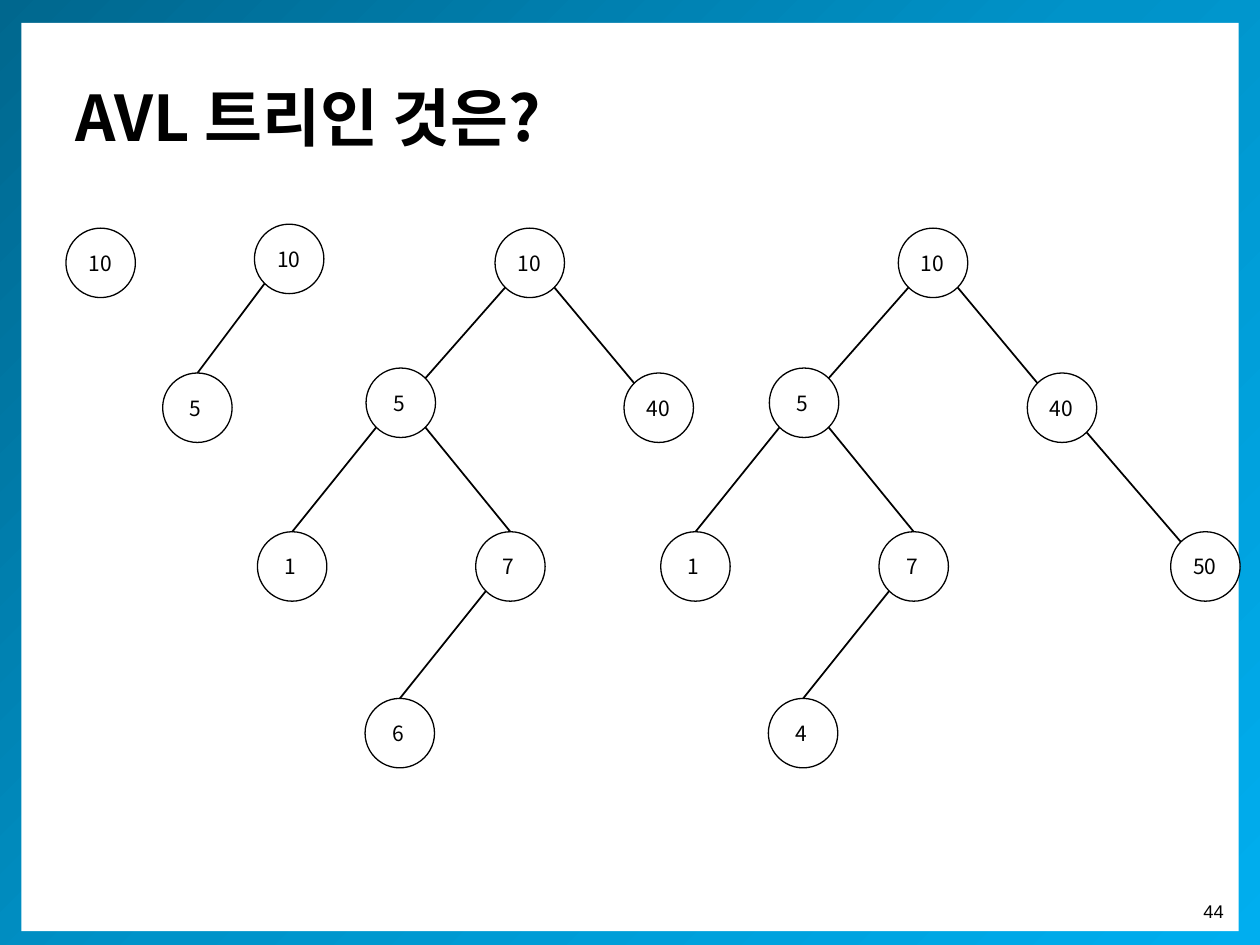
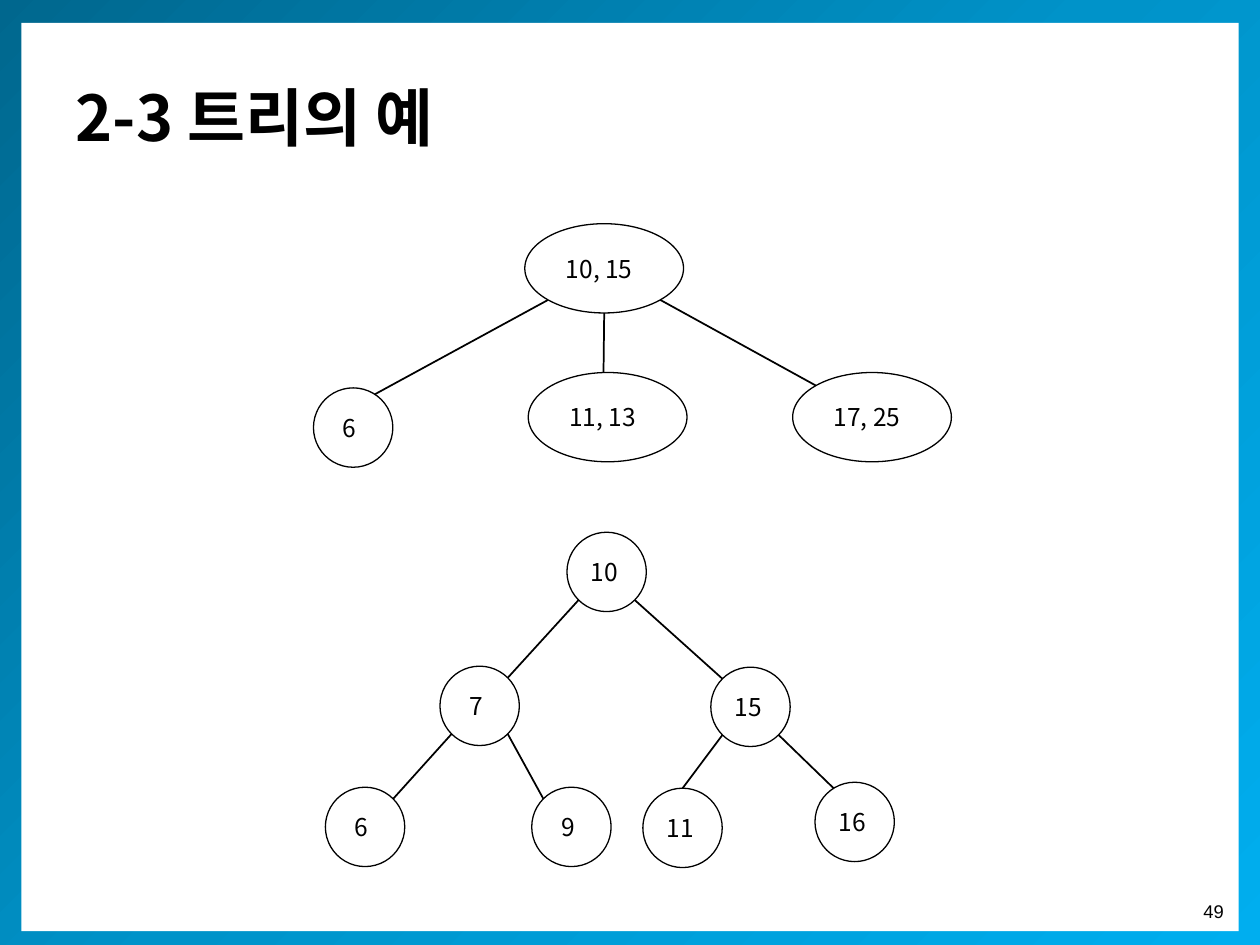
from copy import deepcopy
from math import cos, radians, sin

from lxml.etree import SubElement
from pptx import Presentation
from pptx.dml.color import RGBColor
from pptx.enum.shapes import MSO_CONNECTOR, MSO_SHAPE
from pptx.enum.text import MSO_ANCHOR, PP_ALIGN
from pptx.oxml.ns import qn
from pptx.util import Cm, Pt

BLACK, WHITE = "000000", "FFFFFF"
BAND_STOPS = ((0, "00678E"), (0.5, "0093C9"), (1, "00AEEF"))
BODY_FONT, NUMBER_FONT = "Noto Sans CJK KR", "Arial"
TITLE_ONLY = 5

TOP, TOP_LEFT, TOP_RIGHT = 90, 135, 45
BOTTOM, BOTTOM_LEFT, BOTTOM_RIGHT = 270, 225, 315


def rgb(value):
    return RGBColor.from_string(value)


def write(box, text, size, font=BODY_FONT, bold=False, align=PP_ALIGN.LEFT,
          anchor=MSO_ANCHOR.MIDDLE, indent=0):
    frame = box.text_frame
    frame.word_wrap = True
    frame.vertical_anchor = anchor
    para = frame.paragraphs[0]
    para.alignment = align
    if indent:
        para._p.get_or_add_pPr().set("marL", str(Pt(indent)))
    span = para.add_run()
    span.text = text
    span.font.name = font
    span.font.size = Pt(size)
    span.font.bold = bold
    span.font.color.rgb = rgb(BLACK)
    SubElement(span._r.get_or_add_rPr(), qn("a:ea"), typeface=font)


class TreeDeck:
    """Holds the deck style and draws elements on the current page."""

    def __init__(self):
        self.deck = Presentation()
        self.deck.slide_width, self.deck.slide_height = Cm(25.4), Cm(19.05)
        self.page = None

    def add_page(self, title, number):
        self.page = self.deck.slides.add_slide(self.deck.slide_layouts[TITLE_ONLY])
        self.band()
        self.shape(MSO_SHAPE.RECTANGLE, 0.43, 0.46, 24.54, 18.31)
        box = self.page.shapes.add_textbox(Cm(23.93), Cm(18.03), Cm(0.99), Cm(0.71))
        write(box, str(number), 10.5, font=NUMBER_FONT, align=PP_ALIGN.RIGHT,
              anchor=MSO_ANCHOR.TOP)
        self.title(title)

    def title(self, text):
        box = self.page.shapes.title
        box.left, box.top, box.width, box.height = Cm(1.27), Cm(0.76), Cm(22.86), Cm(3.18)
        self.page.shapes._spTree.append(box._element)
        write(box, text, 36, bold=True)

    def shape(self, kind, left, top, width, height):
        shape = self.page.shapes.add_shape(kind, Cm(left), Cm(top), Cm(width), Cm(height))
        shape.shadow.inherit = False
        shape.fill.solid()
        shape.fill.fore_color.rgb = rgb(WHITE)
        shape.line.fill.background()
        return shape

    def band(self):
        fill = self.shape(MSO_SHAPE.RECTANGLE, 0, -0.1, 25.4, 19.28).fill
        fill.gradient()
        fill.gradient_angle = 315
        first = fill.gradient_stops[0]._gs
        first.addnext(deepcopy(first))
        for stop, (position, color) in zip(fill.gradient_stops, BAND_STOPS):
            stop.position = position
            stop.color.rgb = rgb(color)

    def node(self, label, center, width, height, font_size):
        x, y = center
        oval = self.shape(MSO_SHAPE.OVAL, x - width / 2, y - height / 2, width, height)
        oval.line.color.rgb = rgb(BLACK)
        oval.line.width = Pt(0.75)
        oval.text_frame.margin_right = 0
        two_digits = len(label) == 2
        write(oval, label, font_size, indent=0 if two_digits else 0.22 * font_size)

    def edge(self, start, end):
        line = self.page.shapes.add_connector(
            MSO_CONNECTOR.STRAIGHT, *(Cm(value) for value in (*start, *end)))
        line.line.color.rgb = rgb(BLACK)
        line.line.width = Pt(1)
        SubElement(line._element.spPr, qn("a:effectLst"))

    def tree(self, centers, edges=(), diameter=1.4, font_size=12, shift=0):
        """Draws labelled nodes and joins their rims at the given angles."""
        sizes = {label: (3.2, 1.8) if "," in label else (diameter, diameter)
                 for label in centers}
        for label, (x, y) in centers.items():
            self.node(label, (x + shift, y), *sizes[label], font_size)

        def rim(label, angle):
            (x, y), (width, height) = centers[label], sizes[label]
            return (x + shift + width / 2 * cos(radians(angle)),
                    y - height / 2 * sin(radians(angle)))

        for parent, child, leave, arrive in edges:
            self.edge(rim(parent, leave), rim(child, arrive))


def add_avl_page(deck):
    deck.add_page("AVL 트리인 것은?", 44)
    deck.tree({"10": (2.03, 5.3)})
    deck.tree({"10": (5.83, 5.22), "5": (3.98, 8.22)},
              [("10", "5", BOTTOM_LEFT, TOP)])

    centers = {"10": (10.68, 5.3), "5": (8.08, 8.12), "40": (13.28, 8.22),
               "1": (5.89, 11.42), "7": (10.29, 11.42)}
    edges = [("10", "5", BOTTOM_LEFT, TOP_RIGHT), ("10", "40", BOTTOM_RIGHT, TOP_LEFT),
             ("5", "1", BOTTOM_LEFT, TOP), ("5", "7", BOTTOM_RIGHT, TOP)]
    deep_leaf = (8.06, 14.78)
    deck.tree(centers | {"6": deep_leaf}, edges + [("7", "6", BOTTOM_LEFT, TOP)])
    deck.tree(centers | {"4": deep_leaf, "50": (16.17, 11.42)},
              edges + [("7", "4", BOTTOM_LEFT, TOP), ("40", "50", BOTTOM_RIGHT, TOP_LEFT)],
              shift=8.13)


def add_two_three_page(deck):
    deck.add_page("2-3 트리의 예", 49)
    style = {"diameter": 1.6, "font_size": 14}
    deck.tree({"10, 15": (12.18, 5.41), "6": (7.12, 8.62),
               "11, 13": (12.25, 8.41), "17, 25": (17.58, 8.41)},
              [("10, 15", "6", BOTTOM_LEFT, 57), ("10, 15", "11, 13", BOTTOM, 93),
               ("10, 15", "17, 25", BOTTOM_RIGHT, TOP_LEFT)], **style)
    deck.tree({"10": (12.23, 11.53), "7": (9.67, 14.23), "15": (15.13, 14.25),
               "6": (7.36, 16.67), "9": (11.52, 16.67),
               "11": (13.76, 16.69), "16": (17.23, 16.57)},
              [("10", "7", BOTTOM_LEFT, TOP_RIGHT), ("10", "15", BOTTOM_RIGHT, TOP_LEFT),
               ("7", "6", BOTTOM_LEFT, TOP_RIGHT), ("7", "9", BOTTOM_RIGHT, TOP_LEFT),
               ("15", "11", BOTTOM_LEFT, TOP), ("15", "16", BOTTOM_RIGHT, 122)], **style)


def main():
    tree_deck = TreeDeck()
    add_avl_page(tree_deck)
    add_two_three_page(tree_deck)
    tree_deck.deck.save("out.pptx")


if __name__ == "__main__":
    main()
